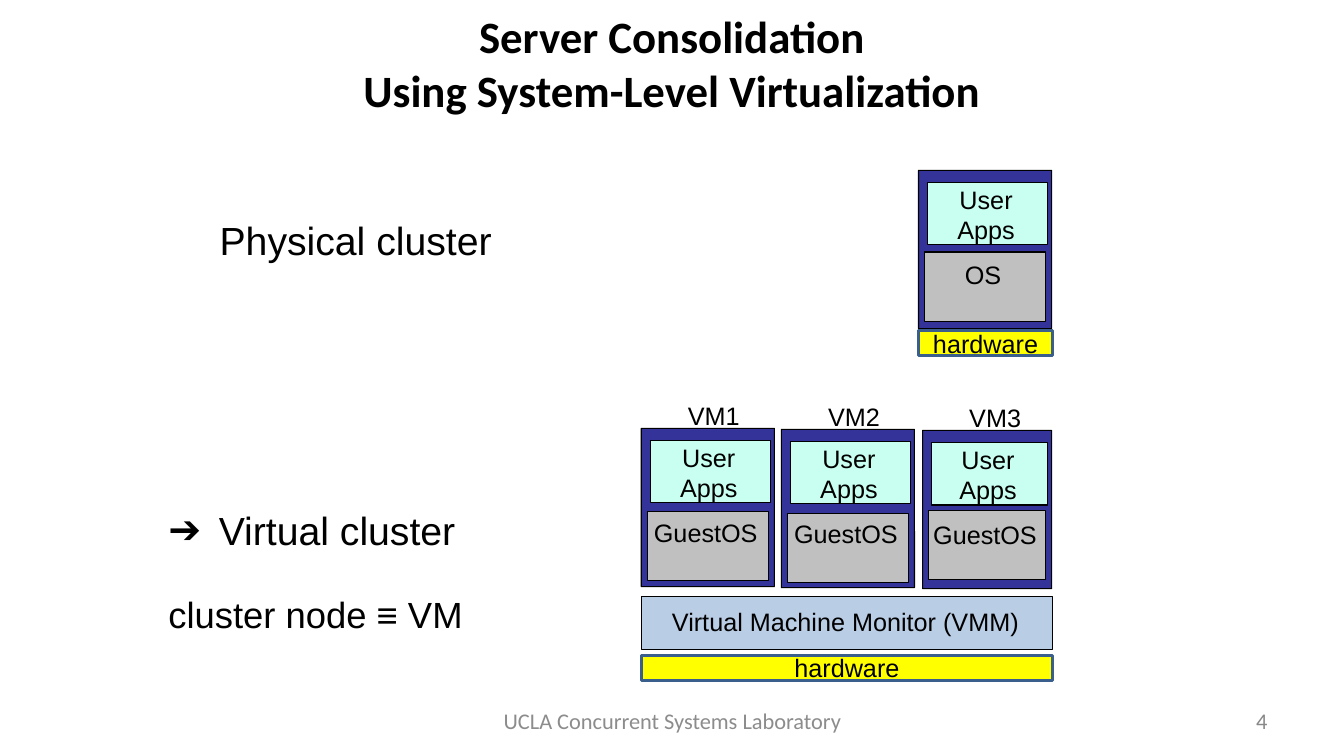
from lxml import etree
from pptx import Presentation
from pptx.dml.color import RGBColor
from pptx.enum.shapes import MSO_SHAPE
from pptx.enum.text import MSO_ANCHOR, MSO_AUTO_SIZE, PP_ALIGN
from pptx.oxml.ns import qn
from pptx.util import Inches, Pt

RECTANGLE, ROUNDED = MSO_SHAPE.RECTANGLE, MSO_SHAPE.ROUNDED_RECTANGLE
LEFT, CENTER, RIGHT = PP_ALIGN.LEFT, PP_ALIGN.CENTER, PP_ALIGN.RIGHT
TOP, MIDDLE = MSO_ANCHOR.TOP, MSO_ANCHOR.MIDDLE

BLACK, NAVY, GRAY, MINT = "000000", "333399", "C0C0C0", "C9FFF1"
YELLOW, STEEL, SKY = "FFFF00", "3A5F8C", "B9CDE5"

TITLE = "Server Consolidation\vUsing System-Level Virtualization"
VIRTUAL_LINES = [("Virtual cluster", 28, "➔", 0), ("cluster node ≡ VM", 26, None, 28)]
PLAIN_TEXTS = [
    ("Physical cluster", (2.08, 2.1, 3.08, 0.57), 28, "Arial", BLACK, LEFT, TOP),
    ("UCLA Concurrent Systems Laboratory", (4.56, 6.95, 4.22, 0.4), 16, "Calibri", "8C8C8C", CENTER, MIDDLE),
    ("4", (9.56, 6.95, 3.11, 0.4), 16, "Calibri", "898989", RIGHT, MIDDLE),
]
PHYSICAL_NODE = {"left": 9.11, "top": 1.69, "width": 1.32, "system": "OS", "system_drop": 0.81}
VIRTUAL_NODES = [
    {"left": 6.36, "top": 4.25, "width": 1.32, "system": "GuestOS", "system_drop": 0.82, "label": "VM1"},
    {"left": 7.75, "top": 4.26, "width": 1.32, "system": "GuestOS", "system_drop": 0.83, "label": "VM2"},
    {"left": 9.15, "top": 4.27, "width": 1.28, "system": "GuestOS", "system_drop": 0.79, "label": "VM3"},
]
NODE_HEIGHT = 1.57
HARDWARE_HEIGHT = 0.25


def color(value):
    return RGBColor.from_string(value)


def style(para, size, font="Arial", ink=BLACK, align=CENTER):
    para.alignment = align
    para.font.size = Pt(size)
    para.font.name = font
    para.font.color.rgb = color(ink)


def place(box, area):
    box.left, box.top, box.width, box.height = map(Inches, area)


def add_box(parent, area, fill, line=BLACK, weight=0.75, kind=RECTANGLE):
    box = parent.shapes.add_shape(kind, *map(Inches, area))
    box.shadow.inherit = False
    box.fill.solid()
    box.fill.fore_color.rgb = color(fill)
    box.line.color.rgb = color(line)
    box.line.width = Pt(weight)
    return box


def add_text(parent, text, area, size=18, font="Arial", ink=BLACK, align=CENTER, anchor=TOP, wrap=True):
    box = parent.shapes.add_textbox(*map(Inches, area))
    frame = box.text_frame
    frame.text = text
    frame.word_wrap = wrap
    frame.vertical_anchor = anchor
    for para in frame.paragraphs:
        style(para, size, font, ink, align)


def add_hardware(parent, left, top, width):
    box = add_box(parent, (left, top, width, HARDWARE_HEIGHT), YELLOW, STEEL, 2)
    frame = box.text_frame
    frame.text = "hardware"
    frame.margin_top = frame.margin_bottom = 0
    frame.vertical_anchor = MIDDLE
    style(frame.paragraphs[0], 18)


def add_node(parent, left, top, width, system, system_drop, label=None):
    frame = add_box(parent, (left, top, width, NODE_HEIGHT), NAVY, kind=ROUNDED)
    frame.adjustments[0] = 0.001
    add_box(parent, (left + 0.06, top + system_drop, width - 0.12, 0.69), GRAY)
    add_box(parent, (left + 0.09, top + 0.12, width - 0.13, 0.62), MINT)
    add_text(parent, system, (left, top + 0.83, width - 0.04, 0.41))
    add_text(parent, "User\nApps", (left - 0.04, top + 0.09, width + 0.1, 0.71))
    if label:
        add_text(parent, label, (left + 0.36, top - 0.33, 0.72, 0.41), wrap=False)


def set_bullet(para, mark):
    properties = para._p.get_or_add_pPr()
    indent = Inches(0.5) if mark else 0
    properties.set("marL", str(indent))
    properties.set("indent", str(-indent))
    if mark:
        etree.SubElement(properties, qn("a:buChar")).set("char", mark)
    else:
        etree.SubElement(properties, qn("a:buNone"))


def main():
    deck = Presentation()
    deck.slide_width, deck.slide_height = Inches(13.33), Inches(7.5)
    page = deck.slides.add_slide(deck.slide_layouts[1])

    title = page.shapes.title
    place(title, (1.83, 0.08, 9.67, 1.08))
    title.text_frame.text = TITLE
    title.text_frame.auto_size = MSO_AUTO_SIZE.NONE
    title.text_frame.vertical_anchor = MIDDLE
    style(title.text_frame.paragraphs[0], 32, "Calibri")
    title.text_frame.paragraphs[0].font.bold = True

    body = page.placeholders[1]
    place(body, (1.57, 4.97, 4.37, 1.41))
    body.text_frame.text = "\n".join(line[0] for line in VIRTUAL_LINES)
    body.text_frame.auto_size = MSO_AUTO_SIZE.NONE
    for para, (_, size, mark, gap) in zip(body.text_frame.paragraphs, VIRTUAL_LINES):
        set_bullet(para, mark)
        para.space_before = Pt(gap)
        style(para, size, align=LEFT)

    virtual = page.shapes.add_group_shape()
    left, width = 6.36, 4.08
    add_box(virtual, (left, 5.92, width, 0.52), SKY)
    add_text(virtual, "Virtual Machine Monitor (VMM)", (6.55, 5.97, 3.67, 0.41), wrap=False)
    for node in VIRTUAL_NODES:
        add_node(virtual, **node)
    add_hardware(virtual, left, 6.5, width)

    physical = page.shapes.add_group_shape()
    add_node(physical, **PHYSICAL_NODE)
    add_hardware(physical, PHYSICAL_NODE["left"], 3.28, 1.33)

    for entry in PLAIN_TEXTS:
        add_text(page, *entry)

    deck.save("out.pptx")


if __name__ == "__main__":
    main()
